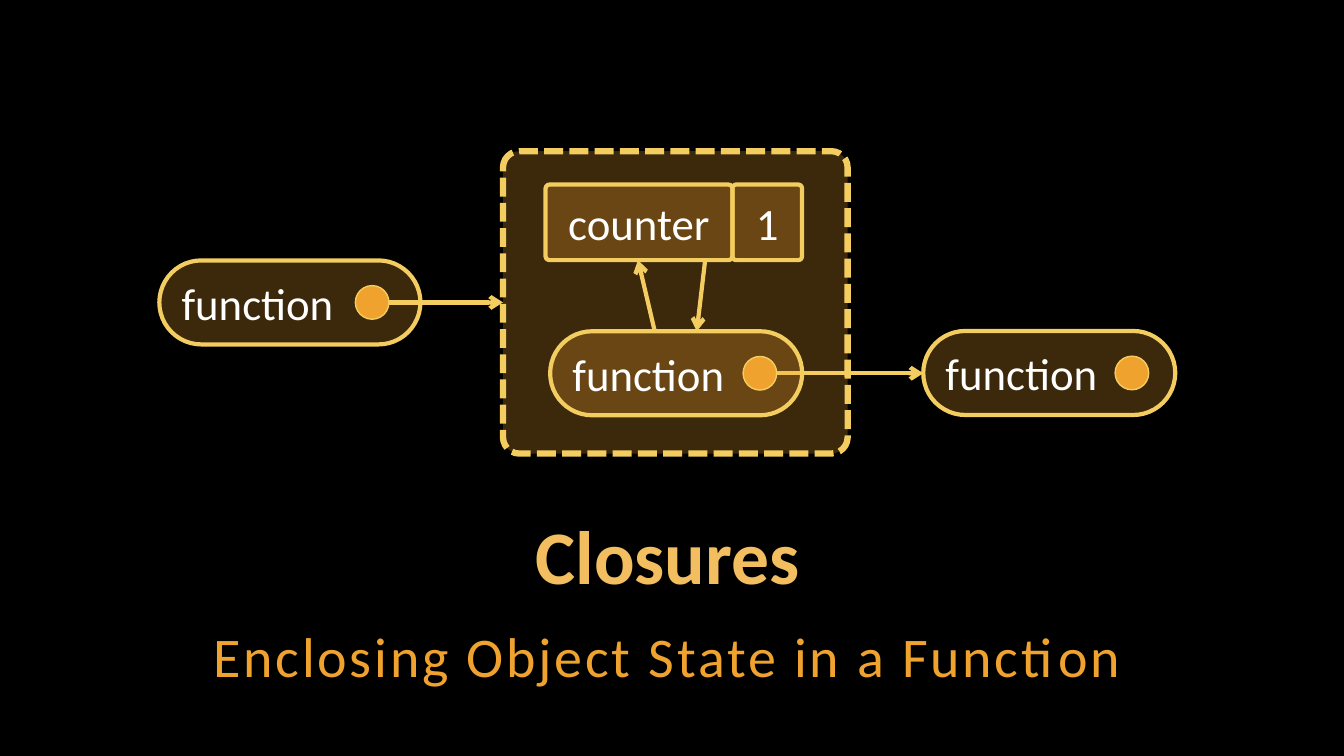
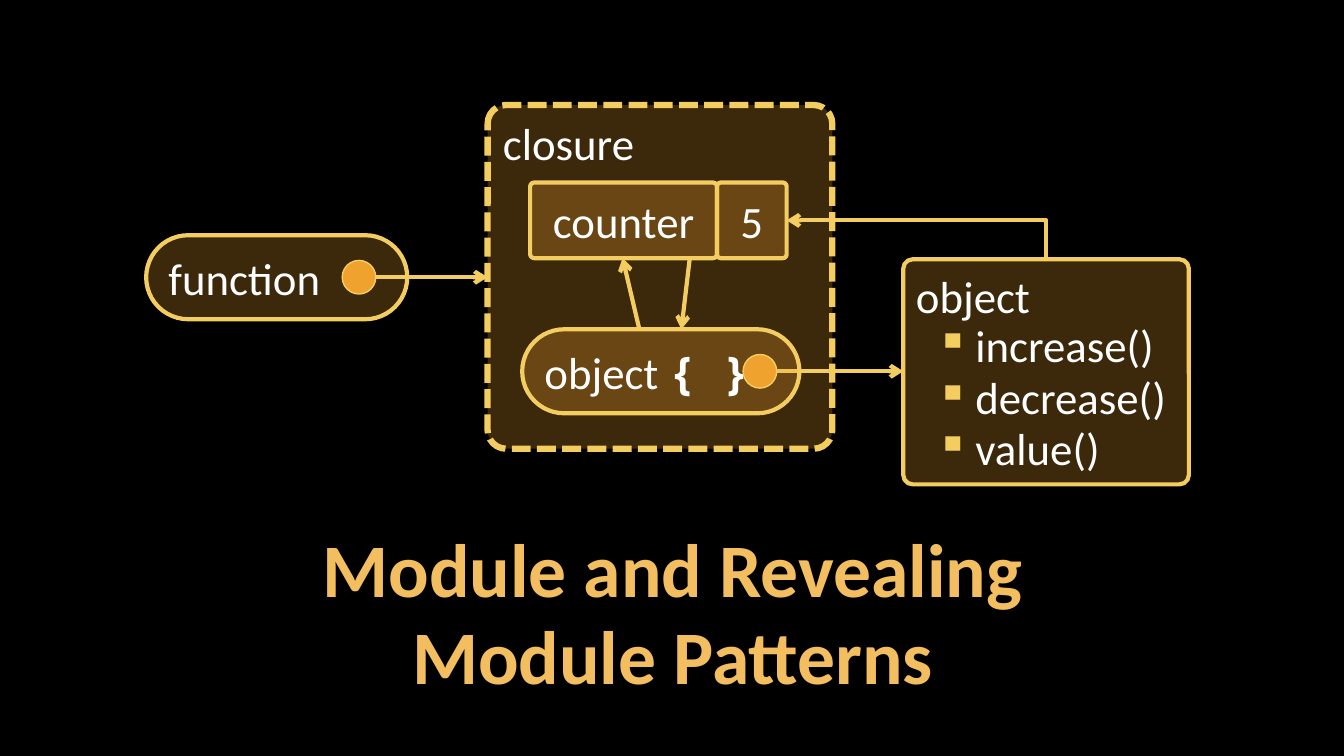
from dataclasses import dataclass

from pptx import Presentation
from pptx import util as u
from pptx.dml.color import RGBColor
from pptx.enum import dml, shapes, text
from pptx.oxml.ns import qn
from pptx.oxml.xmlchemy import OxmlElement

Pt = u.Pt


@dataclass(frozen=True)
class Theme:
    background: str = "000000"
    title: str = "F3BE60"
    accent: str = "F0A22E"
    line: str = "F3CD60"
    label: str = "FFFFFF"
    font: str = "Calibri"
    code_font: str = "Noto Sans Mono"
    title_size: float = 54
    subtitle_size: float = 40
    label_size: float = 32
    line_width: float = 3
    frame_width: float = 4.5
    fill_alpha: int = 25000


THEME = Theme()

# Sizes shared by both diagrams
PILL_HEIGHT = 60
DOT_SIZE = 24
CALL_WIDTH = 186.5
CALL_DOT_OFFSET = 140
INNER_DOT_LEFT = 530.8
FRAME_WIDTH = 246.2
FRAME_INSET = 30.4
COUNTER_WIDTH, VALUE_WIDTH, COUNTER_HEIGHT = 133.5, 49.7, 54
INNER_OFFSET = 104.8


@dataclass(frozen=True)
class Box:
    left: float
    top: float
    width: float
    height: float
    label: str = ""  # lines after the first become bullets
    code: str = ""
    corner: float = 0.5
    centred: bool = False
    dashed: bool = False
    top_anchor: bool = False


@dataclass(frozen=True)
class Closure:
    call_left: float
    call_top: float
    frame_top: float
    frame_height: float
    frame_label: str
    counter_left: float
    counter_top: float
    value: str
    inner_left: float
    inner_width: float
    inner_label: str
    inner_code: str
    result: Box


@dataclass(frozen=True)
class Heading:
    left: float
    top: float
    width: float
    height: float
    words: str
    size: float
    color: str
    bold: bool
    line_spacing: float
    space_after: float = 0
    tracking: int = 0  # hundredths of a point
    anchor: text.MSO_ANCHOR = text.MSO_ANCHOR.BOTTOM


def rgb(value: str) -> RGBColor:
    return RGBColor.from_string(value)


def add_child(parent, tag: str, **attributes: str):
    child = OxmlElement(tag)
    for name, value in attributes.items():
        child.set(name, value)
    parent.append(child)
    return child


def style_span(span, size: float, color: str, bold: bool = False, font: str = THEME.font) -> None:
    span.font.name = font
    span.font.size = Pt(size)
    span.font.bold = bold
    span.font.color.rgb = rgb(color)


def style_line(line, width: float) -> None:
    line.color.rgb = rgb(THEME.line)
    line.width = Pt(width)


# Text
def add_heading(page, heading: Heading) -> None:
    box = page.shapes.add_textbox(Pt(heading.left), Pt(heading.top), Pt(heading.width), Pt(heading.height))
    frame = box.text_frame
    frame.word_wrap = True
    frame.vertical_anchor = heading.anchor
    frame.margin_left = frame.margin_right = frame.margin_top = frame.margin_bottom = Pt(3)
    para = frame.paragraphs[0]
    para.text = heading.words
    para.alignment = text.PP_ALIGN.CENTER
    para.line_spacing = heading.line_spacing
    para.space_after = Pt(heading.space_after)
    for span in para.runs:
        style_span(span, heading.size, heading.color, heading.bold)
        if heading.tracking:
            span.font._element.set("spc", str(heading.tracking))


def add_bullet(para) -> None:
    para.line_spacing = 0.95
    properties = para._p.get_or_add_pPr()
    properties.set("marL", str(Pt(42.5)))
    properties.set("indent", str(-Pt(28)))
    color = add_child(properties, "a:buClr")
    add_child(color, "a:srgbClr", val=THEME.line)
    add_child(properties, "a:buChar", char="▪")


def set_label(frame, box: Box) -> None:
    frame.word_wrap = True
    frame.vertical_anchor = text.MSO_ANCHOR.TOP if box.top_anchor else text.MSO_ANCHOR.MIDDLE
    frame.text = box.label
    for index, para in enumerate(frame.paragraphs):
        para.alignment = text.PP_ALIGN.CENTER if box.centred else text.PP_ALIGN.LEFT
        if index:
            add_bullet(para)
        for span in para.runs:
            style_span(span, THEME.label_size, THEME.label)
    if box.code:
        span = frame.paragraphs[0].add_run()
        span.text = box.code
        style_span(span, THEME.label_size, THEME.label, True, THEME.code_font)


# Shapes and arrows
def add_box(page, box: Box):
    shape = page.shapes.add_shape(
        shapes.MSO_SHAPE.ROUNDED_RECTANGLE, Pt(box.left), Pt(box.top), Pt(box.width), Pt(box.height))
    shape.shadow.inherit = False
    shape.adjustments[0] = box.corner
    shape.fill.solid()
    shape.fill.fore_color.rgb = rgb(THEME.accent)
    fill_color = shape.element.spPr.find(qn("a:solidFill"))[0]
    add_child(fill_color, "a:alpha", val=str(THEME.fill_alpha))
    style_line(shape.line, THEME.frame_width if box.dashed else THEME.line_width)
    if box.dashed:
        shape.line.dash_style = dml.MSO_LINE.SQUARE_DOT
    if box.label:
        set_label(shape.text_frame, box)
    return shape


def add_dot(page, left: float, pill_top: float) -> None:
    top = pill_top + (PILL_HEIGHT - DOT_SIZE) / 2
    dot = page.shapes.add_shape(shapes.MSO_SHAPE.OVAL, Pt(left), Pt(top), Pt(DOT_SIZE), Pt(DOT_SIZE))
    dot.shadow.inherit = False
    dot.fill.solid()
    dot.fill.fore_color.rgb = rgb(THEME.accent)
    style_line(dot.line, 1)


def add_line(page, x1: float, y1: float, x2: float, y2: float, arrow_end: str = "a:tailEnd"):
    line = page.shapes.add_connector(shapes.MSO_CONNECTOR.STRAIGHT, Pt(x1), Pt(y1), Pt(x2), Pt(y2))
    style_line(line.line, THEME.line_width)
    add_child(line.line._get_or_add_ln(), arrow_end, type="arrow")
    add_child(line.element.spPr, "a:effectLst")
    return line


def add_elbow(page, target, source) -> None:
    """Right-angled arrow from the top of source to the right side of target."""
    line = add_line(page, 0, 0, 0, 0, "a:headEnd")
    line.begin_connect(target, 3)
    line.end_connect(source, 0)
    line.element.spPr.find(qn("a:prstGeom")).set("prst", "bentConnector2")


# The closure diagram
def draw_closure(page, closure: Closure):
    x, y = closure.counter_left, closure.counter_top
    frame_left = x - FRAME_INSET
    counter_bottom = y + COUNTER_HEIGHT
    inner_top = y + INNER_OFFSET
    call_middle = closure.call_top + PILL_HEIGHT / 2
    exit_middle = inner_top + PILL_HEIGHT / 2
    call_dot = closure.call_left + CALL_DOT_OFFSET

    # Dashed frame and the arrows between state and function
    add_box(page, Box(frame_left, closure.frame_top, FRAME_WIDTH, closure.frame_height,
                      closure.frame_label, corner=0.054, dashed=True, top_anchor=True))
    add_line(page, x + 78, inner_top, x + 66, counter_bottom)
    add_line(page, x + 114, counter_bottom, x + 108, inner_top)

    # Calling function
    add_box(page, Box(closure.call_left, closure.call_top, CALL_WIDTH, PILL_HEIGHT, "function"))
    add_dot(page, call_dot, closure.call_top)
    add_line(page, call_dot + DOT_SIZE, call_middle, frame_left, call_middle)

    # Returned result
    add_line(page, INNER_DOT_LEFT + DOT_SIZE, exit_middle, closure.result.left, exit_middle)
    result = add_box(page, closure.result)

    # Enclosed state and inner function
    add_box(page, Box(x, y, COUNTER_WIDTH, COUNTER_HEIGHT, "counter", corner=0.053, centred=True))
    add_box(page, Box(closure.inner_left, inner_top, closure.inner_width, PILL_HEIGHT,
                      closure.inner_label, closure.inner_code))
    add_dot(page, INNER_DOT_LEFT, inner_top)
    value = add_box(page, Box(x + COUNTER_WIDTH, y, VALUE_WIDTH, COUNTER_HEIGHT,
                              closure.value, corner=0.053, centred=True))
    return value, result


def add_page(deck, headings: list[Heading]):
    page = deck.slides.add_slide(deck.slide_layouts[6])
    page.background.fill.solid()
    page.background.fill.fore_color.rgb = rgb(THEME.background)
    for heading in headings:
        add_heading(page, heading)
    return page


def title(left: float, top: float, width: float, height: float, words: str, spacing: float) -> Heading:
    return Heading(left, top, width, height, words, THEME.title_size, THEME.title, True, spacing)


def closures_page(deck) -> None:
    page = add_page(deck, [
        title(90, 367, 774, 65, "Closures", 0.9),
        Heading(90, 438.5, 774, 54, "Enclosing Object State in a Function", THEME.subtitle_size,
                THEME.accent, False, 1.05, 6, 200, text.MSO_ANCHOR.TOP),
    ])
    result = Box(659.5, 236.4, 180, PILL_HEIGHT, "function")
    draw_closure(page, Closure(
        call_left=113.8, call_top=186, frame_top=108, frame_height=216, frame_label="",
        counter_left=389.7, counter_top=131.8, value="1",
        inner_left=393, inner_width=180, inner_label="function", inner_code="", result=result))
    add_dot(page, 796.5, result.top)


def module_page(deck) -> None:
    page = add_page(deck, [title(186, 373.5, 589, 130.5, "Module and Revealing\vModule Patterns", 0.95)])
    result = Box(645.2, 185.2, 204, 160.8, "object\nincrease()\ndecrease()\nvalue()", corner=0.042)
    value, module = draw_closure(page, Closure(
        call_left=104.4, call_top=168, frame_top=75, frame_height=245.5, frame_label="closure",
        counter_left=378.7, counter_top=130.4, value="5",
        inner_left=373, inner_width=198, inner_label="object ", inner_code="{ }", result=result))
    add_elbow(page, value, module)


def main() -> None:
    deck = Presentation()
    deck.slide_width, deck.slide_height = Pt(960), Pt(540)
    closures_page(deck)
    module_page(deck)
    deck.save("out.pptx")


if __name__ == "__main__":
    main()
